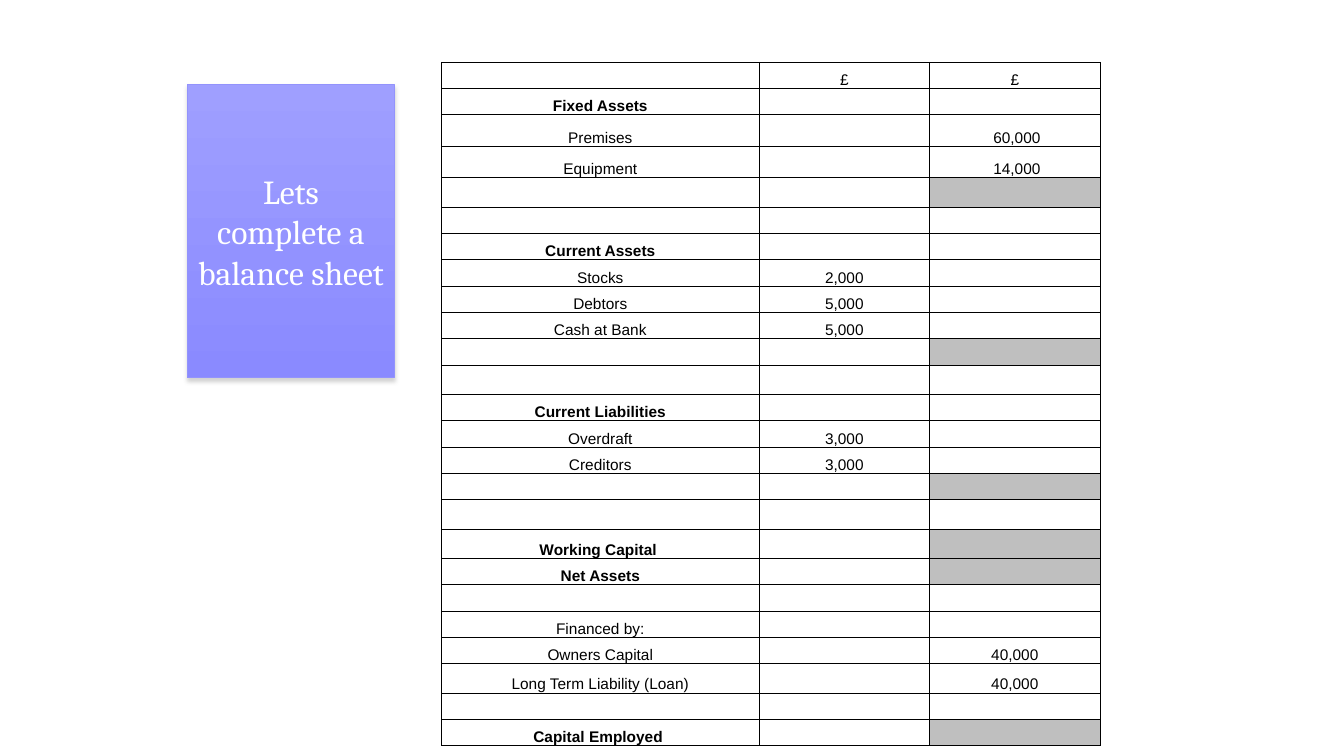
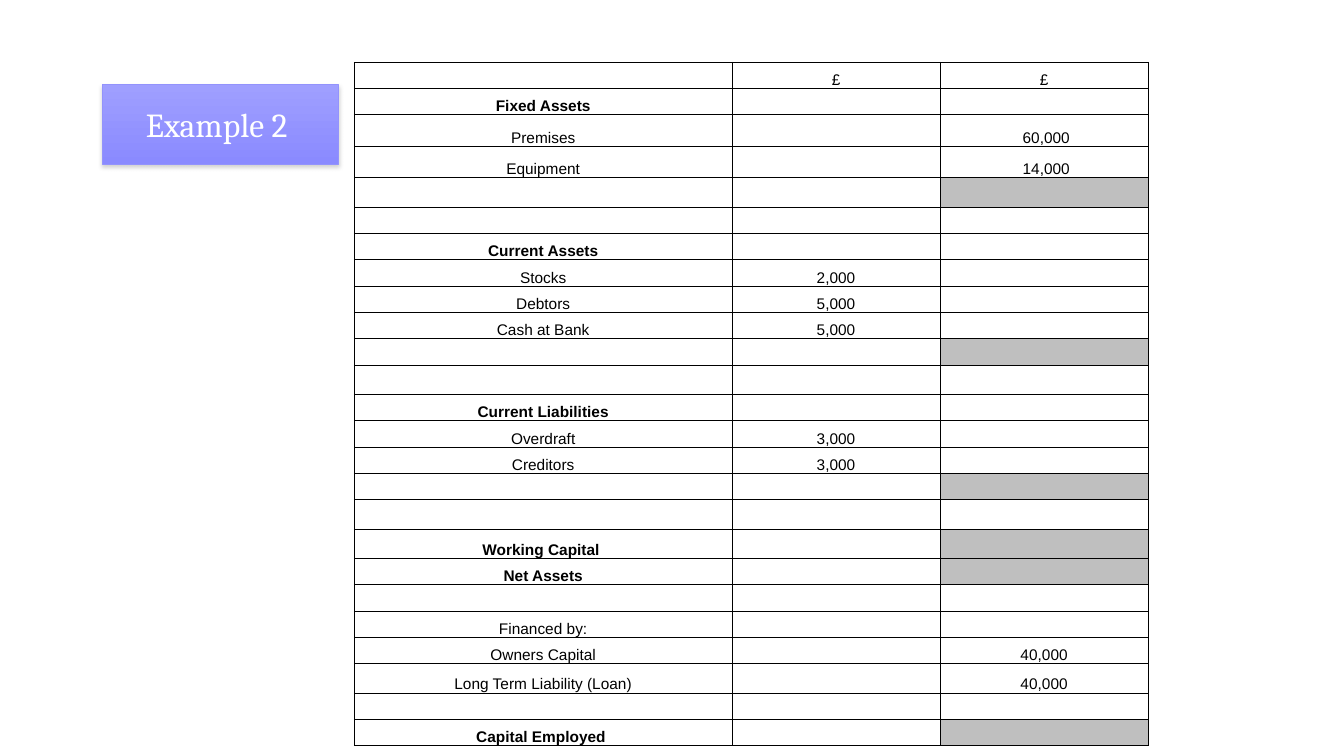
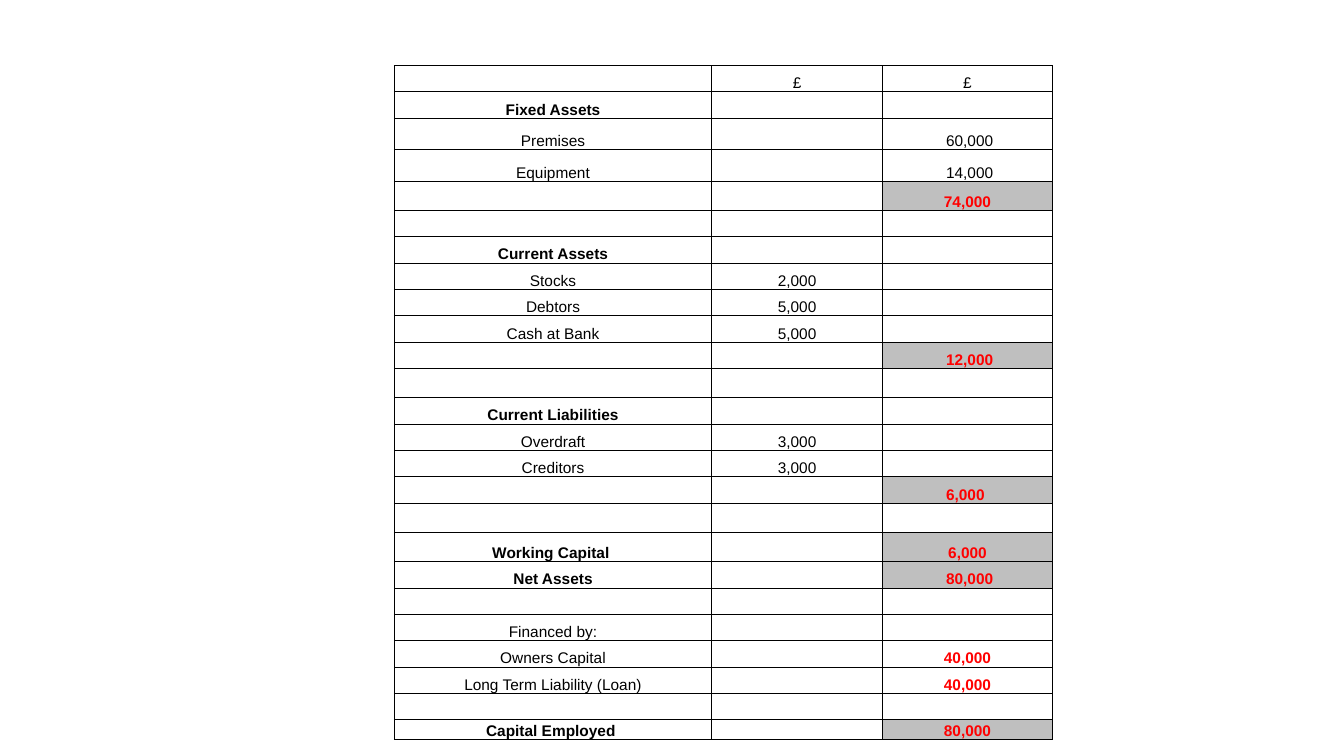
from dataclasses import dataclass
from enum import Enum

from lxml import etree
from pptx import Presentation
from pptx.dml.color import RGBColor
from pptx.enum.shapes import MSO_SHAPE as Preset
from pptx.enum.text import MSO_ANCHOR as Anchor, PP_ALIGN as Align
from pptx.oxml.ns import qn
from pptx.util import Inches, Pt

# Colours and type
BLACK = RGBColor(0x00, 0x00, 0x00)
WHITE = RGBColor(0xFF, 0xFF, 0xFF)
RED = RGBColor(0xFF, 0x00, 0x00)
GREY = RGBColor(0xBF, 0xBF, 0xBF)
SHADOW = RGBColor(0x80, 0x80, 0x80)
LILAC_LIGHT = RGBColor(0x9F, 0x9F, 0xFF)
LILAC_DARK = RGBColor(0x8A, 0x8A, 0xFF)
LILAC_EDGE = RGBColor(0x93, 0x93, 0xFC)
TITLE_FONT, TABLE_FONT = "Cambria", "Arial"
TITLE_SIZE, TABLE_SIZE = Pt(24), Pt(11)
HAIRLINE = Pt(0.75)

# The grid has 100 columns and 100 rows; these are table row heights in grid rows
GRID = 100
SHORT, REGULAR, TALL, ROOMY = 2.65, 3.49, 3.87, 4.17


class Kind(Enum):
    GIVEN = 1    # always black
    CAPITAL = 2  # red once solved
    ANSWER = 3   # shaded, filled in once solved


@dataclass
class Row:
    label: str = ""
    amount: str = ""
    total: str = ""
    kind: Kind = Kind.GIVEN
    bold: bool = False
    height: float = REGULAR


BALANCE_SHEET = [
    Row(height=TALL),
    Row(amount="£", total="£"),
    Row("Fixed Assets", bold=True),
    Row("Premises", total=" 60,000", height=ROOMY),
    Row("Equipment", total=" 14,000", height=ROOMY),
    Row(total="74,000", kind=Kind.ANSWER, height=TALL),
    Row(),
    Row("Current Assets", bold=True),
    Row("Stocks", "2,000"),
    Row("Debtors", "5,000"),
    Row("Cash at Bank", "5,000"),
    Row(total=" 12,000", kind=Kind.ANSWER),
    Row(height=TALL),
    Row("Current Liabilities", bold=True),
    Row("Overdraft", "3,000"),
    Row("Creditors", "3,000"),
    Row(total="6,000 ", kind=Kind.ANSWER),
    Row(height=TALL),
    Row("Working Capital ", total="6,000", kind=Kind.ANSWER, bold=True, height=TALL),
    Row("Net Assets", total=" 80,000", kind=Kind.ANSWER, bold=True),
    Row(),
    Row("Financed by:"),
    Row("Owners Capital", total="40,000", kind=Kind.CAPITAL),
    Row("Long Term Liability (Loan)", total="40,000", kind=Kind.CAPITAL, height=TALL),
    Row(),
    Row("Capital Employed ", total="80,000", kind=Kind.ANSWER, bold=True),
]


class Deck:
    """Holds the style and the current slide."""

    def __init__(self):
        self.presentation = Presentation()
        self.presentation.slide_width = Inches(13.33)
        self.presentation.slide_height = Inches(7.5)
        self.slide = None

    def across(self, columns):
        return round(self.presentation.slide_width * columns / GRID)

    def down(self, rows):
        return round(self.presentation.slide_height * rows / GRID)

    def new_slide(self):
        blank = self.presentation.slide_layouts[6]
        self.slide = self.presentation.slides.add_slide(blank)

    def format_text(self, paragraph, font_name, size, color, bold=False):
        paragraph.alignment = Align.CENTER
        for run in paragraph.runs:
            run.font.name = font_name
            run.font.size = size
            run.font.bold = bold
            run.font.color.rgb = color

    def title_box(self, text, left, top, width, height):
        shape = self.slide.shapes.add_shape(
            Preset.RECTANGLE, self.across(left), self.down(top),
            self.across(width), self.down(height))
        shape.fill.gradient()
        shape.fill.gradient_angle = 270
        for stop, color in zip(shape.fill.gradient_stops, (LILAC_LIGHT, LILAC_DARK)):
            stop.color.rgb = color
        shape.line.color.rgb = LILAC_EDGE
        shape.line.width = HAIRLINE
        self.soft_shadow(shape)
        frame = shape.text_frame
        frame.word_wrap = True
        frame.vertical_anchor = Anchor.MIDDLE
        frame.text = text
        self.format_text(frame.paragraphs[0], TITLE_FONT, TITLE_SIZE, WHITE)

    def soft_shadow(self, shape):
        shape.shadow.inherit = False
        effects = shape._element.spPr.find(qn("a:effectLst"))
        outer = etree.SubElement(
            effects, qn("a:outerShdw"), blurRad=str(Pt(3.1)), dist=str(Pt(1.8)),
            dir="5400000", rotWithShape="0")
        color = etree.SubElement(outer, qn("a:srgbClr"), val=str(SHADOW))
        etree.SubElement(color, qn("a:alpha"), val="35000")

    def cell_borders(self, cell, visible):
        properties = cell._tc.get_or_add_tcPr()
        for side in "LRTB":
            line = etree.SubElement(properties, qn(f"a:ln{side}"), w=str(HAIRLINE))
            if side in visible:
                fill = etree.SubElement(line, qn("a:solidFill"))
                etree.SubElement(fill, qn("a:srgbClr"), val=str(BLACK))
            else:
                etree.SubElement(line, qn("a:noFill"))

    def cell(self, cell, text, color, bold, shaded, borders):
        self.cell_borders(cell, borders)
        if shaded:
            cell.fill.solid()
            cell.fill.fore_color.rgb = GREY
        else:
            cell.fill.background()
        cell.margin_left = cell.margin_right = cell.margin_top = Inches(0.01)
        cell.margin_bottom = 0
        cell.vertical_anchor = Anchor.BOTTOM
        paragraph = cell.text_frame.paragraphs[0]
        if text:
            paragraph.text = text
        self.format_text(paragraph, TABLE_FONT, TABLE_SIZE, color, bold)
        # Keeps empty cells as low as filled ones
        etree.SubElement(paragraph._p, qn("a:endParaRPr"),
                         sz=str(round(TABLE_SIZE.pt * 100)))

    def balance_sheet(self, left, top, widths, solved=False, heights=None):
        """Draw the sheet; heights replaces the height of single rows."""
        rows = BALANCE_SHEET
        row_heights = [(heights or {}).get(i, row.height) for i, row in enumerate(rows)]
        table = self.slide.shapes.add_table(
            len(rows), len(widths), self.across(left), self.down(top),
            self.across(sum(widths)), self.down(sum(row_heights))).table
        table.first_row = table.horz_banding = False
        for column, width in zip(table.columns, widths):
            column.width = self.across(width)
        for i, row in enumerate(rows):
            table.rows[i].height = self.down(row_heights[i])
            borders = "LRTB" if i else "B"
            answer = row.kind is Kind.ANSWER
            marked = solved and row.kind is not Kind.GIVEN
            total = "" if answer and not solved else row.total
            label_cell, amount_cell, total_cell = table.rows[i].cells
            self.cell(label_cell, row.label, BLACK, row.bold, False, borders)
            self.cell(amount_cell, row.amount, BLACK, False, False, borders)
            self.cell(total_cell, total, RED if marked else BLACK, marked,
                      answer, borders)
        table.cell(0, 1).merge(table.cell(0, 2))


def main():
    deck = Deck()
    narrow, wide = (23.64, 12.68, 12.68), (28.1, 15.48, 15.48)

    # Blank sheet to complete
    deck.new_slide()
    deck.balance_sheet(32.85, 4.36, narrow)
    deck.title_box("Lets complete a balance sheet", 13.95, 11.2, 15.4, 38.8)

    # Second example
    deck.new_slide()
    deck.balance_sheet(26.37, 4.36, wide)
    deck.title_box("Example 2 ", 7.62, 11.2, 17.55, 10.55)

    # Completed sheet
    deck.new_slide()
    deck.balance_sheet(29.33, 4.8, narrow, solved=True,
                       heights={23: REGULAR, 25: SHORT})

    deck.presentation.save("out.pptx")


if __name__ == "__main__":
    main()
